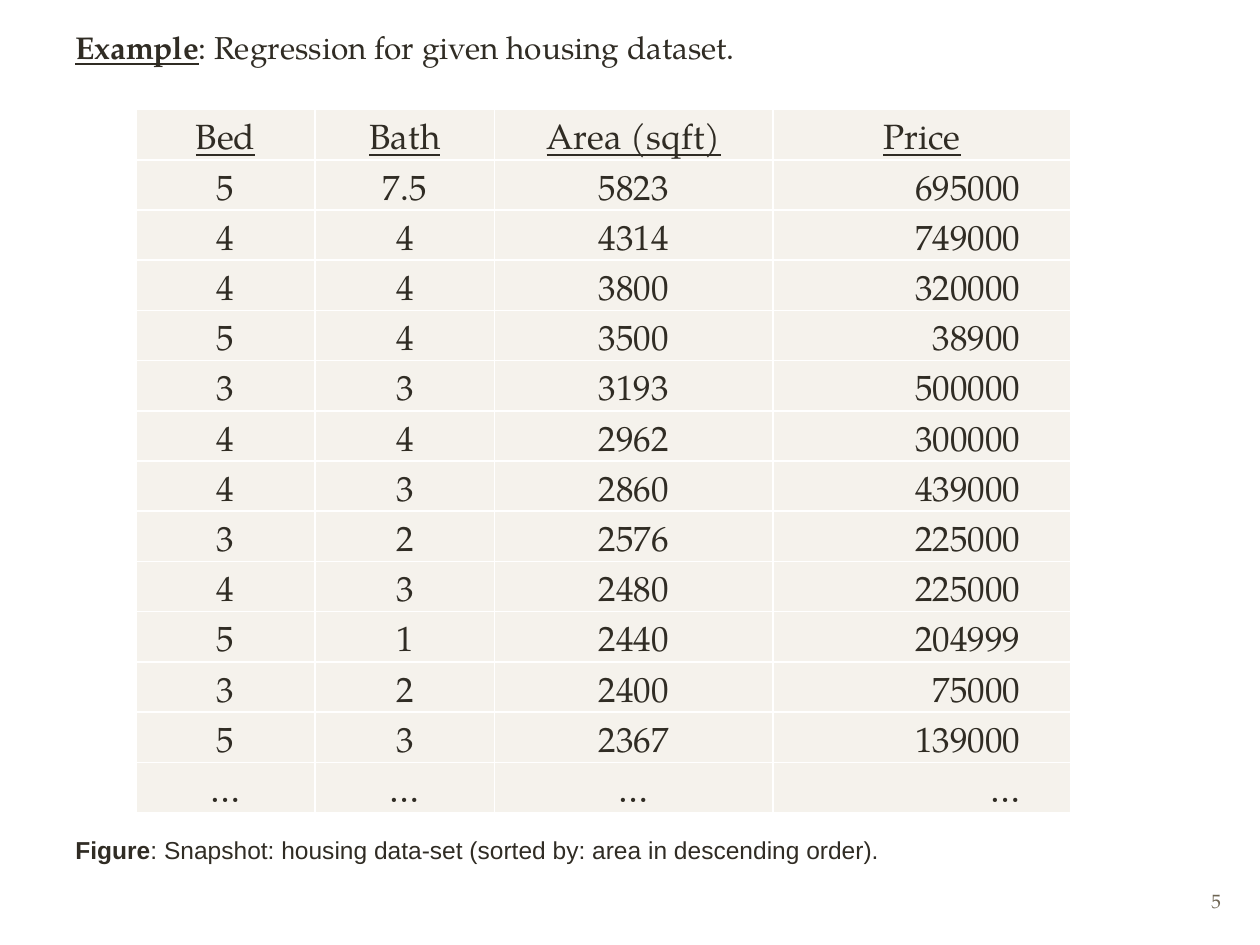
import pptx
import pptx.util
import pptx.dml.color
import pptx.enum.text
import lxml.etree

INK = pptx.dml.color.RGBColor(0x30, 0x2C, 0x24)
MUTED = pptx.dml.color.RGBColor(0x6D, 0x64, 0x52)
CREAM = pptx.dml.color.RGBColor(0xF5, 0xF2, 0xEC)
WHITE = pptx.dml.color.RGBColor(0xFF, 0xFF, 0xFF)
SERIF = "TeX Gyre Pagella"
SANS = "Arial"
ALIGN = pptx.enum.text.PP_ALIGN
ANCHOR = pptx.enum.text.MSO_ANCHOR
NS = "http://schemas.openxmlformats.org/drawingml/2006/main"

deck = pptx.Presentation()
deck.slide_width = pptx.util.Inches(10)
deck.slide_height = pptx.util.Inches(7.5)
wide, high = deck.slide_width, deck.slide_height
slide = deck.slides.add_slide(deck.slide_layouts[6])


def write(frame, text, size=20, font=SERIF, color=INK, bold=False, under=False, align=ALIGN.LEFT):
    para = frame.paragraphs[0]
    para.alignment = align
    run = para.add_run()
    run.text = text
    run.font.size = pptx.util.Pt(size)
    run.font.name = font
    run.font.color.rgb = color
    run.font.bold = bold
    run.font.underline = under


def add_box(left, top, width, height, anchor):
    box = slide.shapes.add_textbox(int(left * wide), int(top * high), int(width * wide), int(height * high))
    box.text_frame.word_wrap = True
    box.text_frame.vertical_anchor = anchor
    return box.text_frame


number = add_box(0.746, 0.927, 0.233, 0.053, ANCHOR.MIDDLE)
write(number, "5", size=11, color=MUTED, align=ALIGN.RIGHT)

homes = [
    ("Bed", "Bath", "Area (sqft)", "Price"),
    ("5", "7.5", "5823", "695000"),
    ("4", "4", "4314", "749000"),
    ("4", "4", "3800", "320000"),
    ("5", "4", "3500", "38900"),
    ("3", "3", "3193", "500000"),
    ("4", "4", "2962", "300000"),
    ("4", "3", "2860", "439000"),
    ("3", "2", "2576", "225000"),
    ("4", "3", "2480", "225000"),
    ("5", "1", "2440", "204999"),
    ("3", "2", "2400", "75000"),
    ("5", "3", "2367", "139000"),
    ("…", "…", "…", "…"),
]
shares = [1.42, 1.42, 2.21, 2.36]
total = int(0.742 * wide)
tall = int(0.744 * high)
grid = slide.shapes.add_table(
    len(homes), len(shares), int(0.108 * wide), int(0.116 * high), total, tall
).table
for col, share in zip(grid.columns, shares):
    col.width = int(total * share / sum(shares))

for r, home in enumerate(homes):
    grid.rows[r].height = tall // len(homes)
    for c, text in enumerate(home):
        cell = grid.cell(r, c)
        head = r == 0
        price = c == 3 and not head
        cell.margin_top = cell.margin_bottom = 0
        cell.margin_left = pptx.util.Inches(0.07)
        cell.margin_right = pptx.util.Inches(0.4 if price else 0.07)
        cell.vertical_anchor = ANCHOR.BOTTOM
        props = cell._tc.get_or_add_tcPr()
        for side in ("lnL", "lnR", "lnT", "lnB"):
            line = lxml.etree.SubElement(props, f"{{{NS}}}{side}", w=str(pptx.util.Pt(1)))
            fill = lxml.etree.SubElement(line, f"{{{NS}}}solidFill")
            lxml.etree.SubElement(fill, f"{{{NS}}}srgbClr", val=str(WHITE))
        cell.fill.solid()
        cell.fill.fore_color.rgb = CREAM
        write(cell.text_frame, text, under=head, align=ALIGN.RIGHT if price else ALIGN.CENTER)

figure = add_box(0.05, 0.877, 0.908, 0.045, ANCHOR.MIDDLE)
write(figure, "Figure", size=14, font=SANS, bold=True)
write(figure, ": Snapshot: housing data-set (sorted by: area in descending order).", size=14, font=SANS)

title = add_box(0.05, 0.023, 0.608, 0.053, ANCHOR.TOP)
write(title, "Example", size=18, bold=True, under=True)
write(title, ": Regression for given housing dataset.", size=18)

deck.save("out.pptx")
